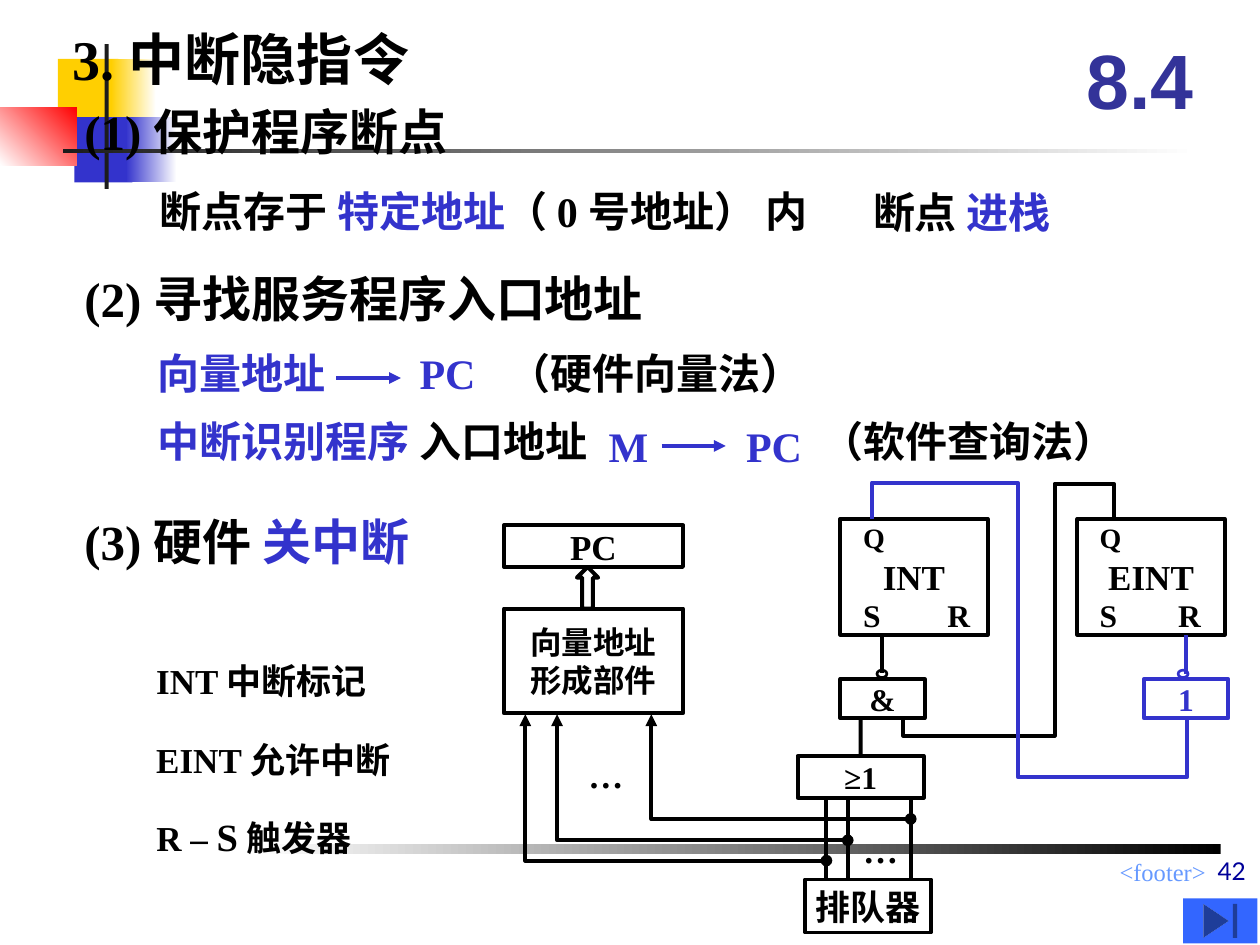
import pptx
import pptx.dml.color
import pptx.enum.shapes
import pptx.enum.text
import pptx.util
from lxml import etree
from pptx.util import Cm

COLORS = {
    "black": "000000", "white": "FFFFFF", "blue": "3333CC", "navy": "333399",
    "yellow": "FFCF01", "red": "FF0000", "charcoal": "1C1C1C",
    "footer": "6699FF", "number": "000099", "button": "3366FF",
}
RGB = {name: pptx.dml.color.RGBColor.from_string(value) for name, value in COLORS.items()}
SHAPE = pptx.enum.shapes.MSO_SHAPE
STRAIGHT = pptx.enum.shapes.MSO_CONNECTOR.STRAIGHT
ALIGN = pptx.enum.text.PP_ALIGN
ANCHOR = pptx.enum.text.MSO_ANCHOR
DRAWING = "{http://schemas.openxmlformats.org/drawingml/2006/main}"


def write_text(shape, lines, size, inset=0.25, align=ALIGN.LEFT, anchor=ANCHOR.MIDDLE,
               font="Times New Roman", bold=True):
    """Each line is a list of (text, color) or (text, color, size) runs."""
    frame = shape.text_frame
    frame.word_wrap = False
    frame.vertical_anchor = anchor
    frame.margin_left = frame.margin_right = Cm(inset)
    frame.margin_top = frame.margin_bottom = Cm(0.13)
    for index, runs in enumerate(lines):
        paragraph = frame.add_paragraph() if index else frame.paragraphs[0]
        paragraph.alignment = align
        paragraph.font.name = font
        paragraph.font.size = pptx.util.Pt(size)
        paragraph.font.bold = bold
        for text, color, *own_size in runs:
            run = paragraph.add_run()
            run.text = text
            run.font.color.rgb = RGB[color]
            if own_size:
                run.font.size = pptx.util.Pt(own_size[0])


def outline(shape, color="black", width=2.25, head=None, tail=None):
    """Set the line with its arrowheads and drop the shadow."""
    shape.line.color.rgb = RGB[color]
    shape.line.width = pptx.util.Pt(width)
    for tag, kind in (("headEnd", head), ("tailEnd", tail)):
        if kind:
            etree.SubElement(shape.get_or_add_ln(), DRAWING + tag, type=kind)
    etree.SubElement(shape._element.spPr, DRAWING + "effectLst")


presentation = pptx.Presentation()
presentation.slide_width = Cm(25.4)
presentation.slide_height = Cm(19.05)
slide = presentation.slides.add_slide(presentation.slide_layouts[6])
shapes = slide.shapes

# Background decoration: one colour is plain, two colours are a gradient
decoration = [
    (1.17, 1.19, 1.22, 1.32, ["yellow"], 0),
    (2.24, 1.19, 0.91, 1.32, ["white", "yellow"], 180),
    (1.5, 2.36, 1.17, 1.32, ["blue"], 0),
    (2.54, 2.36, 1.02, 1.32, ["white", "blue"], 180),
    (0, 2.16, 1.55, 1.17, ["red", "white"], 225),
    (2.11, 0.89, 0.08, 2.92, ["charcoal"], 0),
    (1.27, 3, 22.86, 0.08, ["white", "charcoal"], 180),
    (5.13, 17.02, 19.48, 0.2, ["black", "white"], 180),
]
for left, top, width, height, colors, angle in decoration:
    block = shapes.add_shape(SHAPE.RECTANGLE, Cm(left), Cm(top), Cm(width), Cm(height))
    block.shadow.inherit = False
    block.line.fill.background()
    if len(colors) == 1:
        block.fill.solid()
        block.fill.fore_color.rgb = RGB[colors[0]]
    else:
        block.fill.gradient()
        block.fill.gradient_angle = angle
        for stop, color in zip(block.fill.gradient_stops, colors):
            stop.color.rgb = RGB[color]

# Outline text and labels: place, inset, size, runs
texts = [
    (1.47, 0.43, 10.8, 1.47, 0, 32, [("3. 中断隐指令", "black")]),
    (1.7, 1.9, 16.71, 1.47, 0, 28, [("(1) 保护程序断点", "black")]),
    (1.7, 5.28, 16.71, 1.47, 0, 28, [("(2) 寻找服务程序入口地址", "black")]),
    (1.7, 9.96, 7.42, 1.9, 0, 28, [("(3) 硬件 ", "black"), ("关中断", "blue")]),
    (2.97, 3.61, 14.81, 1.27, 0.25, 24,
     [("断点存于 ", "black"), ("特定地址", "blue"), ("（ 0 号地址） 内", "black")]),
    (17.35, 3.63, 5.92, 1.27, 0.25, 24, [("断点 ", "black"), ("进栈", "blue")]),
    (3.18, 6.78, 3.61, 1.47, 0, 24, [("向量地址", "blue")]),
    (8.46, 6.78, 1.27, 1.47, 0, 24, [("PC", "blue")]),
    (10.01, 6.88, 11.86, 1.27, 0.25, 24, [("（硬件向量法）", "black")]),
    (3.18, 8.15, 8.89, 1.47, 0, 24, [("中断识别程序 ", "blue"), ("入口地址", "black")]),
    (12.27, 8.25, 1.27, 1.47, 0, 24, [("M", "blue")]),
    (15.04, 8.25, 1.27, 1.47, 0, 24, [("PC", "blue")]),
    (16.31, 8.25, 8.5, 1.27, 0.25, 24, [("（软件查询法）", "black")]),
    (2.9, 13.16, 4.93, 1.12, 0.25, 20, [("INT 中断标记", "black")]),
    (2.9, 14.76, 5.41, 1.12, 0.25, 20, [("EINT 允许中断", "black")]),
    (2.9, 16.26, 4.62, 1.19, 0.25, 20,
     [("R – ", "black"), ("S", "black", 22), (" 触发器", "black")]),
    (11.61, 15.06, 1.22, 1.12, 0.25, 20, [("…", "black")]),
    (17.15, 16.56, 1.22, 1.12, 0.25, 20, [("…", "black")]),
]
for pin_left, reset_left in ((17.15, 18.85), (21.92, 23.5)):
    texts += [
        (pin_left, 10.36, 0.94, 0.94, 0.25, 16, [("Q", "black")]),
        (pin_left, 11.89, 0.86, 1.02, 0.25, 18, [("S", "black")]),
        (reset_left, 11.89, 0.97, 1.02, 0.25, 18, [("R", "black")]),
    ]
for left, top, width, height, inset, size, runs in texts:
    label = shapes.add_textbox(Cm(left), Cm(top), Cm(width), Cm(height))
    write_text(label, [runs], size, inset)

section = shapes.add_textbox(Cm(21.39), Cm(0.43), Cm(3.18), Cm(2.33))
write_text(section, [[("8.4", "navy")]], 44, align=ALIGN.CENTER, font="Arial")
footer = shapes.add_textbox(Cm(9.96), Cm(17.15), Cm(14.6), Cm(0.66))
write_text(footer, [[("<footer>", "footer")]], 14, align=ALIGN.RIGHT,
           anchor=ANCHOR.TOP, bold=False)
number = shapes.add_textbox(Cm(13.23), Cm(16.71), Cm(12.14), Cm(1.27))
write_text(number, [[("42", "number")]], 14, align=ALIGN.RIGHT,
           anchor=ANCHOR.BOTTOM, font="Lato", bold=False)

# Circuit blocks
blocks = [
    (10.16, 10.59, 3.61, 0.84, ["PC"], 20, "black"),
    (10.16, 12.27, 3.61, 2.11, ["向量地址", "形成部件"], 18, "black"),
    (16.94, 10.46, 2.97, 2.34, ["INT"], 20, "black"),
    (21.72, 10.46, 2.97, 2.34, ["EINT"], 20, "black"),
    (16.94, 13.69, 1.7, 0.79, ["&"], 18, "black"),
    (23.06, 13.69, 1.7, 0.79, ["1"], 18, "blue"),
    (16.08, 15.24, 2.54, 0.84, ["≥1"], 18, "black"),
    (16.23, 17.73, 2.54, 1.07, ["排队器"], 20, "black"),
]
block_by_name = {}
for left, top, width, height, lines, size, color in blocks:
    block = shapes.add_shape(SHAPE.RECTANGLE, Cm(left), Cm(top), Cm(width), Cm(height))
    block.fill.background()
    outline(block, color)
    write_text(block, [[(line, color)] for line in lines], size, align=ALIGN.CENTER)
    block_by_name[lines[0]] = block

marks = [
    (SHAPE.UP_ARROW, 11.63, 11.43, 0.43, 0.84, "black", 2.25),
    (SHAPE.OVAL, 17.68, 13.51, 0.2, 0.15, "black", 1.5),
    (SHAPE.OVAL, 23.75, 13.51, 0.2, 0.15, "blue", 1.5),
]
for kind, left, top, width, height, color, line_width in marks:
    mark = shapes.add_shape(kind, Cm(left), Cm(top), Cm(width), Cm(height))
    mark.fill.background()
    outline(mark, color, line_width)

# Bent wires
wires = [
    ([(18.21, 14.48), (18.21, 14.83), (21.26, 14.83), (21.26, 9.75), (22.45, 9.75),
      (22.45, 10.46)], "black", None, None),
    ([(23.93, 14.48), (23.93, 15.67), (20.52, 15.67), (20.52, 9.73), (17.58, 9.73),
      (17.58, 10.46)], "blue", None, None),
]
request_wires = [(13.13, 16.51, 18.36), (11.23, 16.94, 17.09), (10.59, 17.35, 16.66)]
for arrow_x, level, queue_x in request_wires:
    wires.append(([(arrow_x, 14.4), (arrow_x, level), (queue_x, level)],
                  "black", "triangle", "oval"))
for points, color, head, tail in wires:
    corners = [(Cm(x), Cm(y)) for x, y in points]
    builder = shapes.build_freeform(*corners[0])
    builder.add_line_segments(corners[1:], close=False)
    wire = builder.convert_to_shape()
    wire.fill.background()
    outline(wire, color, head=head, tail=tail)

# Straight wires and transfer arrows
straight_lines = [
    (23.9, 12.8, 23.9, 13.59, "blue", None),
    (17.78, 12.8, 17.78, 13.56, "black", None),
    (6.78, 7.62, 8.08, 7.62, "blue", "triangle"),
    (13.34, 8.99, 14.63, 8.99, "blue", "triangle"),
]
straight_lines += [(queue_x, 16.08, queue_x, 17.73, "black", None)
                   for _, _, queue_x in request_wires]
for x1, y1, x2, y2, color, tail in straight_lines:
    line = shapes.add_connector(STRAIGHT, Cm(x1), Cm(y1), Cm(x2), Cm(y2))
    outline(line, color, tail=tail)

or_to_and = shapes.add_connector(STRAIGHT, Cm(17.35), Cm(14.48), Cm(17.35), Cm(15.24))
or_to_and.end_connect(block_by_name["≥1"], 0)
outline(or_to_and)

end_button = shapes.add_shape(SHAPE.ACTION_BUTTON_END, Cm(23.85), Cm(18.11), Cm(1.5), Cm(0.91))
end_button.shadow.inherit = False
end_button.fill.solid()
end_button.fill.fore_color.rgb = RGB["button"]
end_button.line.fill.background()

presentation.save("out.pptx")
